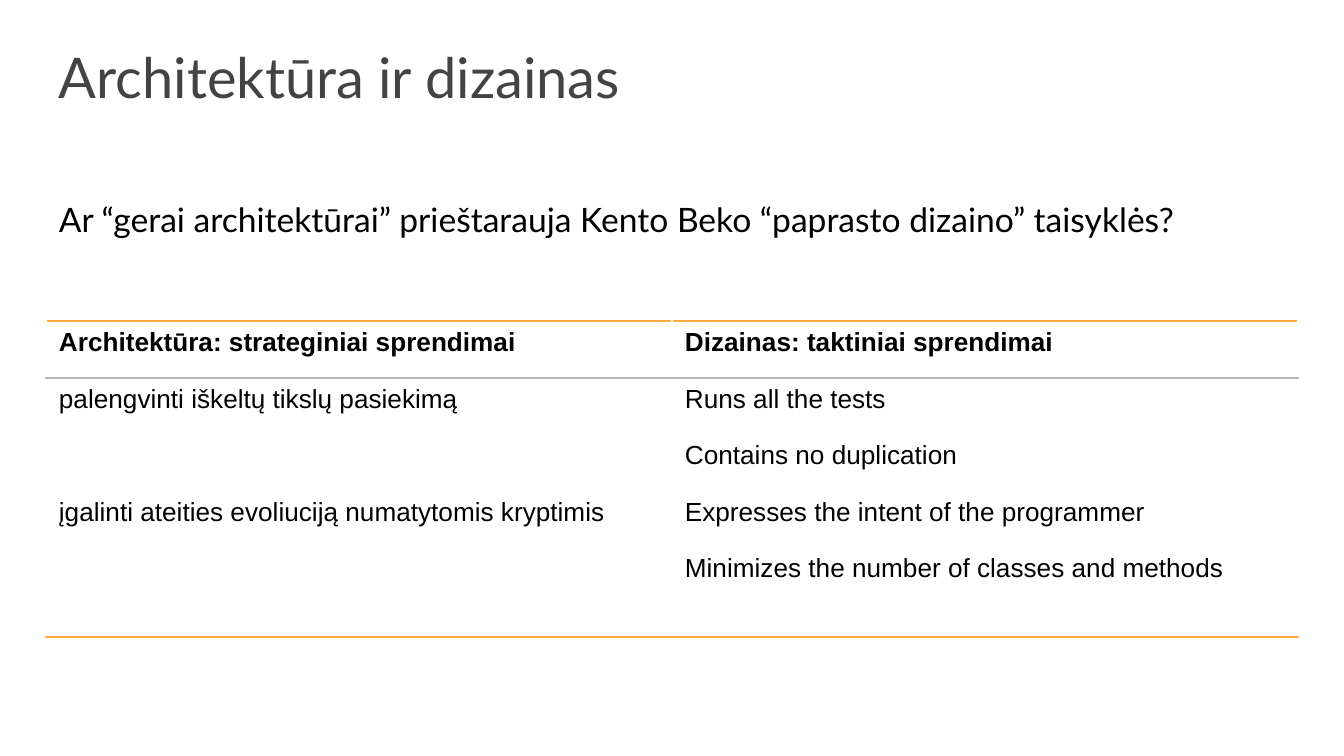
from pptx import Presentation
from pptx.dml.color import RGBColor
from pptx.enum.text import MSO_ANCHOR, MSO_AUTO_SIZE, PP_ALIGN
from pptx.oxml.ns import qn
from pptx.util import Pt
from lxml.etree import SubElement

SLIDE_WIDTH, SLIDE_HEIGHT = 1344, 756
PX_PER_INCH = 134.4
EMU_PER_PX = 914400 / PX_PER_INCH
INSET = 13

BLACK = RGBColor(0x00, 0x00, 0x00)
DARK_GREY = RGBColor(0x43, 0x43, 0x43)
LIGHT_GREY = RGBColor(0xB7, 0xB7, 0xB7)
ORANGE = RGBColor(0xFF, 0xAB, 0x40)

TITLE = "Architektūra ir dizainas"
QUESTION = "Ar “gerai architektūrai” prieštarauja Kento Beko “paprasto dizaino” taisyklės?"
COMPARISON = [
    ("Architektūra: strateginiai sprendimai", "Dizainas: taktiniai sprendimai"),
    ("palengvinti iškeltų tikslų pasiekimą", "Runs all the tests"),
    ("", "Contains no duplication"),
    ("įgalinti ateities evoliuciją numatytomis kryptimis", "Expresses the intent of the programmer"),
    ("", "Minimizes the number of classes and methods"),
]
ROW_HEIGHTS = (57, 56, 57, 56, 90)


def px(length):
    return round(length * EMU_PER_PX)


def style_font(font, name, size, color, bold=False):
    font.name = name
    font.size = Pt(size)
    font.bold = bold
    font.color.rgb = color


def fill_placeholder(placeholder, box, text, size, color, line_spacing):
    placeholder.left, placeholder.top, placeholder.width, placeholder.height = map(px, box)
    frame = placeholder.text_frame
    frame.text = text
    frame.word_wrap = True
    frame.auto_size = MSO_AUTO_SIZE.NONE
    frame.vertical_anchor = MSO_ANCHOR.TOP
    frame.margin_left = frame.margin_right = px(INSET)
    frame.margin_top = frame.margin_bottom = px(INSET)
    paragraph = frame.paragraphs[0]
    paragraph.alignment = PP_ALIGN.LEFT
    paragraph.line_spacing = line_spacing
    paragraph.space_before = Pt(0)
    style_font(paragraph.runs[0].font, "Lato", size, color)
    return paragraph


def add_title(slide, box):
    fill_placeholder(slide.shapes.title, box, TITLE, 30, DARK_GREY, 1.0)


def add_question(slide, box):
    paragraph = fill_placeholder(slide.placeholders[1], box, QUESTION, 18, BLACK, 1.15)
    properties = paragraph._p.get_or_add_pPr()
    properties.set("marL", "0")
    properties.set("indent", "0")
    SubElement(properties, qn("a:buNone"))


def add_border(cell, side, color, width):
    line = SubElement(cell._tc.get_or_add_tcPr(), qn(f"a:{side}"), w=str(Pt(width)))
    solid = SubElement(line, qn("a:solidFill"))
    SubElement(solid, qn("a:srgbClr"), val=str(color))


def add_comparison(slide, box):
    left, top, width, height = map(px, box)
    last_row = len(COMPARISON) - 1
    table = slide.shapes.add_table(len(COMPARISON), 2, left, top, width, height).table
    table.first_row = table.horz_banding = False
    for column in table.columns:
        column.width = width // 2
    for row_index, (texts, row_height) in enumerate(zip(COMPARISON, ROW_HEIGHTS)):
        table.rows[row_index].height = px(row_height)
        for cell, text in zip(table.rows[row_index].cells, texts):
            cell.text = text
            style_font(cell.text_frame.paragraphs[0].font, "Arial", 14, BLACK, row_index == 0)
            cell.margin_left = cell.margin_right = px(INSET)
            if row_index == 0:
                add_border(cell, "lnT", ORANGE, 1)
                add_border(cell, "lnB", LIGHT_GREY, 0.75)
            elif row_index == 1:
                add_border(cell, "lnT", LIGHT_GREY, 0.75)
            elif row_index == last_row:
                add_border(cell, "lnB", ORANGE, 1)
            cell.fill.background()


def main():
    presentation = Presentation()
    presentation.slide_width = px(SLIDE_WIDTH)
    presentation.slide_height = px(SLIDE_HEIGHT)
    slide = presentation.slides.add_slide(presentation.slide_layouts[1])
    left, width = 46, 1252
    add_title(slide, (left, 30, width, 85))
    add_question(slide, (left, 180, width, 87))
    add_comparison(slide, (left, 321, width, sum(ROW_HEIGHTS)))
    presentation.save("out.pptx")


if __name__ == "__main__":
    main()
